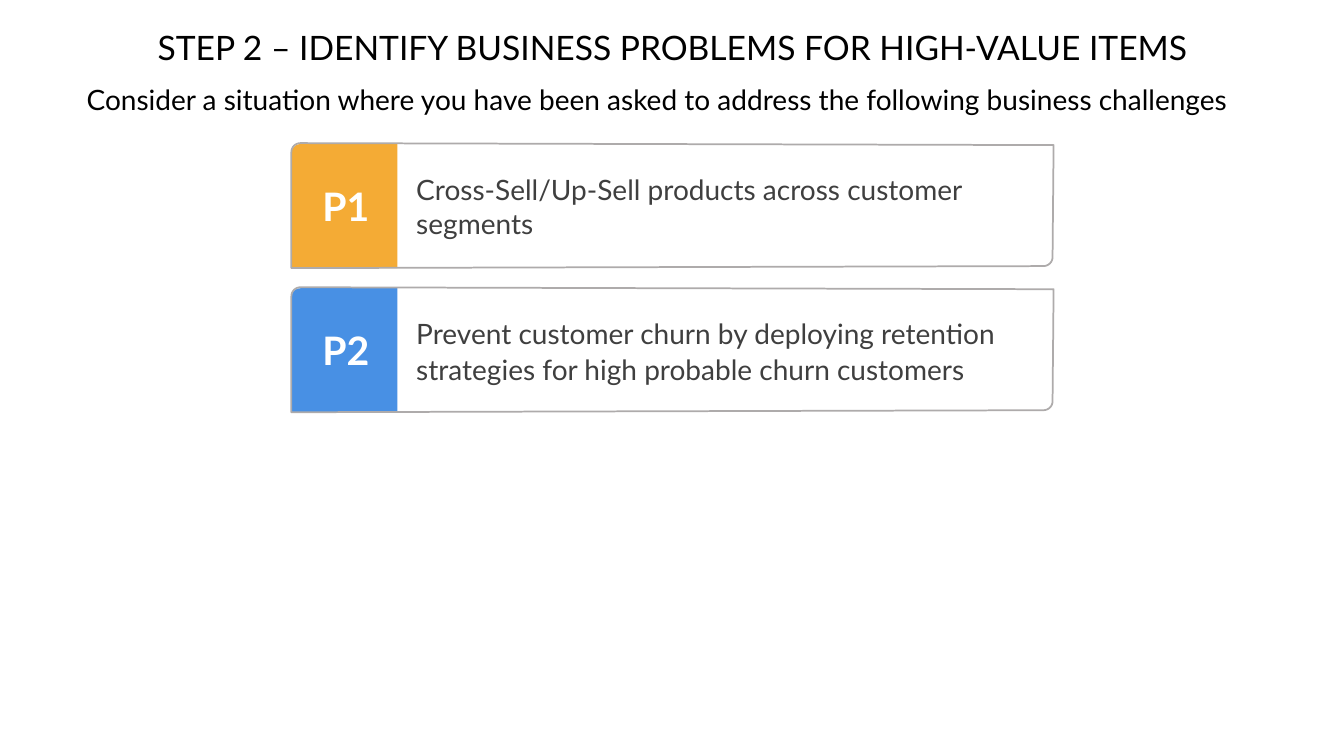
import math
from dataclasses import dataclass

from pptx import Presentation
from pptx import util as u
from pptx.dml.color import RGBColor
from pptx.enum import text


@dataclass(frozen=True)
class Theme:
    font: str = "Lato"
    black: str = "000000"
    white: str = "FFFFFF"
    body: str = "3F3F3F"
    border: str = "AEABAB"
    orange: str = "F4AB35"
    blue: str = "4890E4"
    title_size: int = 24
    body_size: int = 20
    label_size: int = 28
    border_width: float = 1.25


def corner(center_x, center_y, radius, start_angle, steps=8):
    angles = [math.radians(start_angle + 90 * step / steps) for step in range(steps + 1)]
    return [(center_x + radius * math.cos(angle), center_y + radius * math.sin(angle))
            for angle in angles]


class SlideBuilder:
    card_left = 2.89
    radius = 0.09
    tile_outline = corner(0.09, 0.1, 0.09, 180) + [(1.05, 0), (1.05, 1.24), (0, 1.24)]
    card_outline = (corner(0.09, 0.09, 0.09, 180) + [(7.56, 0.02)]
                    + corner(7.46, 1.13, 0.09, 0) + [(0, 1.24)])

    def __init__(self, slide, theme):
        self.slide = slide
        self.theme = theme

    def add_text(self, content, box, size, color, bold=False, centered=False,
                 middle=False, inset=0.05, spacing=None):
        shape = self.slide.shapes.add_textbox(*(u.Inches(length) for length in box))
        frame = shape.text_frame
        frame.text = content
        frame.word_wrap = True
        frame.margin_left = frame.margin_right = u.Inches(0.1)
        frame.margin_top = frame.margin_bottom = u.Inches(inset)
        frame.vertical_anchor = text.MSO_ANCHOR.MIDDLE if middle else text.MSO_ANCHOR.TOP
        paragraph = frame.paragraphs[0]
        paragraph.alignment = text.PP_ALIGN.CENTER if centered else text.PP_ALIGN.LEFT
        paragraph.line_spacing = spacing
        font = paragraph.runs[0].font
        font.name = self.theme.font
        font.size = u.Pt(size)
        font.bold = bold
        font.color.rgb = RGBColor.from_string(color)

    def add_outline(self, points, top, fill=None, line=None):
        places = [(u.Inches(self.card_left + x), u.Inches(top + y)) for x, y in points]
        builder = self.slide.shapes.build_freeform(*places[0])
        builder.add_line_segments(places[1:], close=True)
        shape = builder.convert_to_shape()
        shape.shadow.inherit = False
        if fill:
            shape.fill.solid()
            shape.fill.fore_color.rgb = RGBColor.from_string(fill)
        else:
            shape.fill.background()
        if line:
            shape.line.color.rgb = RGBColor.from_string(line)
            shape.line.width = u.Pt(self.theme.border_width)
        else:
            shape.line.fill.background()

    def add_card(self, label, content, top, color, spacing):
        theme = self.theme
        self.add_outline(self.tile_outline, top, fill=color)
        self.add_outline(self.card_outline, top, line=theme.border)
        self.add_text(label, (2.9, top + 0.34, 1.06, 0.57), theme.label_size,
                      theme.white, bold=True, centered=True, middle=True)
        self.add_text(content, (4.03, top + 0.25, 6.25, 0.75), theme.body_size,
                      theme.body, middle=True, spacing=spacing)


def main():
    presentation = Presentation()
    presentation.slide_width = u.Inches(13.33)
    presentation.slide_height = u.Inches(7.5)
    theme = Theme()
    builder = SlideBuilder(presentation.slides.add_slide(presentation.slide_layouts[6]), theme)

    builder.add_text("STEP 2 – IDENTIFY BUSINESS PROBLEMS FOR HIGH-VALUE ITEMS",
                     (0.76, 0.22, 11.82, 0.57), theme.title_size, theme.black, centered=True)
    builder.add_text("Consider a situation where you have been asked to address "
                     "the following business challenges",
                     (0.76, 0.72, 11.82, 0.54), theme.body_size, theme.black, inset=0.1)

    problems = [
        ("P1", "Cross-Sell/Up-Sell products across customer segments", theme.orange, None),
        ("P2", "Prevent customer churn by deploying retention strategies "
               "for high probable churn customers", theme.blue, 1.07),
    ]
    for index, (label, content, color, spacing) in enumerate(problems):
        builder.add_card(label, content, 1.42 + 1.43 * index, color, spacing)

    presentation.save("out.pptx")


if __name__ == "__main__":
    main()
